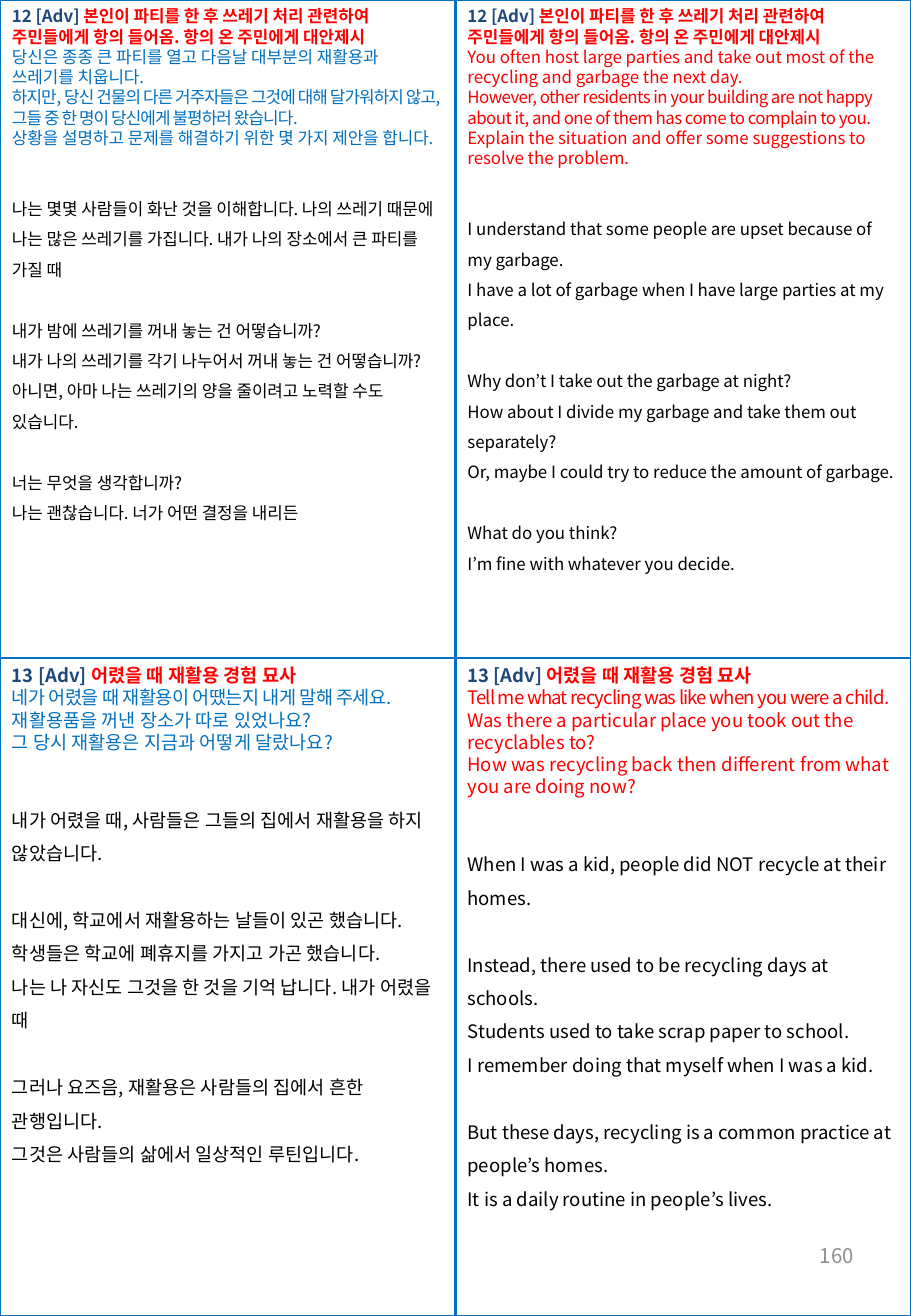
from dataclasses import dataclass

from lxml.etree import SubElement
from pptx import Presentation
from pptx.dml.color import RGBColor as RGB
from pptx.enum.shapes import MSO_CONNECTOR as CONNECTOR, MSO_SHAPE as SHAPE
from pptx.enum.text import MSO_ANCHOR as ANCHOR, PP_ALIGN as ALIGN
from pptx.oxml.ns import qn
from pptx.util import Pt

FONT = "Noto Sans CJK KR"
COLORS = {"navy": "1F497D", "red": "FF0000", "blue": "0070C0",
          "black": "000000", "gray": "8C8C8C"}
WIDTH, HEIGHT = 540, 780
CARD_W, CARD_H = WIDTH / 2, HEIGHT / 2
LINE_PITCH = 1.2      # line height relative to the font size
ANSWER_SPACING = 1.5


@dataclass
class Prompt:
    text: str
    tracking: float = 0


@dataclass
class Card:
    col: int
    row: int
    size: float
    number: str
    topic: str
    prompt_color: str
    prompts: list[Prompt]
    answers: list[list[str]]


PARTY = "본인이 파티를 한 후 쓰레기 처리 관련하여 주민들에게 항의 들어옴. 항의 온 주민에게 대안제시"
CHILDHOOD = "어렸을 때 재활용 경험 묘사"

CARDS = [
    Card(0, 0, 10, "12 [Adv] ", PARTY, "blue", [
        Prompt("당신은 종종 큰 파티를 열고 다음날 대부분의 재활용과 쓰레기를 치웁니다."),
        Prompt("하지만, 당신 건물의 다른 거주자들은 그것에 대해 달가워하지 않고, "
               "그들 중 한 명이 당신에게 불평하러 왔습니다.", -0.5),
        Prompt("상황을 설명하고 문제를 해결하기 위한 몇 가지 제안을 합니다."),
    ], [
        ["나는 몇몇 사람들이 화난 것을 이해합니다. 나의 쓰레기 때문에",
         "나는 많은 쓰레기를 가집니다. 내가 나의 장소에서 큰 파티를 가질 때"],
        ["내가 밤에 쓰레기를 꺼내 놓는 건 어떻습니까?",
         "내가 나의 쓰레기를 각기 나누어서 꺼내 놓는 건 어떻습니까?",
         "아니면, 아마 나는 쓰레기의 양을 줄이려고 노력할 수도 있습니다."],
        ["너는 무엇을 생각합니까?",
         "나는 괜찮습니다. 너가 어떤 결정을 내리든"],
    ]),
    Card(1, 0, 10, "12 [Adv] ", PARTY, "red", [
        Prompt("You often host large parties and take out most of the recycling "
               "and garbage the next day."),
        Prompt("However, other residents in your building are not happy about it, "
               "and one of them has come to complain to you.", -0.3),
        Prompt("Explain the situation and offer some suggestions to resolve the problem."),
    ], [
        ["I understand that some people are upset because of my garbage.",
         "I have a lot of garbage when I have large parties at my place."],
        ["Why don’t I take out the garbage at night?",
         "How about I divide my garbage and take them out separately?",
         "Or, maybe I could try to reduce the amount of garbage."],
        ["What do you think?",
         "I’m fine with whatever you decide."],
    ]),
    Card(0, 1, 11, "13 [Adv] ", CHILDHOOD, "blue", [
        Prompt("네가 어렸을 때 재활용이 어땠는지 내게 말해 주세요.", -0.3),
        Prompt("재활용품을 꺼낸 장소가 따로 있었나요?"),
        Prompt("그 당시 재활용은 지금과 어떻게 달랐나요?"),
    ], [
        ["내가 어렸을 때, 사람들은 그들의 집에서 재활용을 하지 않았습니다."],
        ["대신에, 학교에서 재활용하는 날들이 있곤 했습니다.",
         "학생들은 학교에 폐휴지를 가지고 가곤 했습니다.",
         "나는 나 자신도 그것을 한 것을 기억 납니다. 내가 어렸을 때"],
        ["그러나 요즈음, 재활용은 사람들의 집에서 흔한 관행입니다.",
         "그것은 사람들의 삶에서 일상적인 루틴입니다."],
    ]),
    Card(1, 1, 11, "13 [Adv] ", CHILDHOOD, "red", [
        Prompt("Tell me what recycling was like when you were a child.", -0.5),
        Prompt("Was there a particular place you took out the recyclables to?"),
        Prompt("How was recycling back then different from what you are doing now?"),
    ], [
        ["When I was a kid, people did NOT recycle at their homes."],
        ["Instead, there used to be recycling days at schools.",
         "Students used to take scrap paper to school.",
         "I remember doing that myself when I was a kid."],
        ["But these days, recycling is a common practice at people’s homes.",
         "It is a daily routine in people’s lives."],
    ]),
]


def add_run(p, text: str, size: float, color: str, bold: bool = False,
            tracking: float = 0) -> None:
    r = p.add_run()
    r.text = text
    r.font.name, r.font.size, r.font.bold = FONT, Pt(size), bold
    r.font.color.rgb = RGB.from_string(COLORS[color])
    rpr = r.font._element
    SubElement(rpr, qn("a:ea")).set("typeface", FONT)
    if tracking:
        rpr.set("spc", str(round(tracking * 100)))


def add_text_box(slide, x: float, y: float, w: float, h: float):
    tf = slide.shapes.add_textbox(Pt(x), Pt(y), Pt(w), Pt(h)).text_frame
    tf.word_wrap = True
    return tf


def add_divider(slide, x1: float, y1: float, x2: float, y2: float) -> None:
    line = slide.shapes.add_connector(CONNECTOR.STRAIGHT, Pt(x1), Pt(y1), Pt(x2), Pt(y2))
    line.line.color.rgb = RGB.from_string(COLORS["blue"])
    line.line.width = Pt(1.5)
    SubElement(line._element.spPr, qn("a:effectLst"))


def add_frame(slide) -> None:
    sp = slide.shapes.add_shape(SHAPE.RECTANGLE, 0, 0, Pt(WIDTH), Pt(HEIGHT))
    sp.shadow.inherit = False
    sp.fill.background()
    sp.line.color.rgb = RGB.from_string(COLORS["blue"])
    sp.line.width = Pt(1.5)


def add_card(slide, card: Card) -> None:
    tf = add_text_box(slide, card.col * CARD_W, card.row * CARD_H, CARD_W, CARD_H - 30)
    p = tf.paragraphs[0]
    add_run(p, card.number, card.size, "navy", bold=True)
    add_run(p, card.topic, card.size, "red", bold=True)
    for prompt in card.prompts:
        add_run(tf.add_paragraph(), prompt.text, card.size, card.prompt_color,
                tracking=prompt.tracking)
    # Two plain lines precede the answers, one answer line parts the groups
    pitch = card.size * LINE_PITCH
    for i, group in enumerate(card.answers):
        for j, sentence in enumerate(group):
            p = tf.add_paragraph()
            p.line_spacing = ANSWER_SPACING
            if j == 0:
                p.space_before = Pt(pitch * (ANSWER_SPACING if i else 2))
            add_run(p, sentence, card.size, "black")


def add_page_number(slide, number: str) -> None:
    tf = add_text_box(slide, 387, 723, 126, 42)
    tf.vertical_anchor = ANCHOR.MIDDLE
    p = tf.paragraphs[0]
    p.alignment = ALIGN.RIGHT
    add_run(p, number, 12, "gray")


def main() -> None:
    prs = Presentation()
    prs.slide_width, prs.slide_height = Pt(WIDTH), Pt(HEIGHT)
    slide = prs.slides.add_slide(prs.slide_layouts[6])
    # Grid
    add_divider(slide, 0, CARD_H, WIDTH, CARD_H)
    add_divider(slide, CARD_W, 0, CARD_W, HEIGHT)
    add_frame(slide)
    # Contents
    add_page_number(slide, "160")
    for card in CARDS:
        add_card(slide, card)
    prs.save("out.pptx")


if __name__ == "__main__":
    main()
